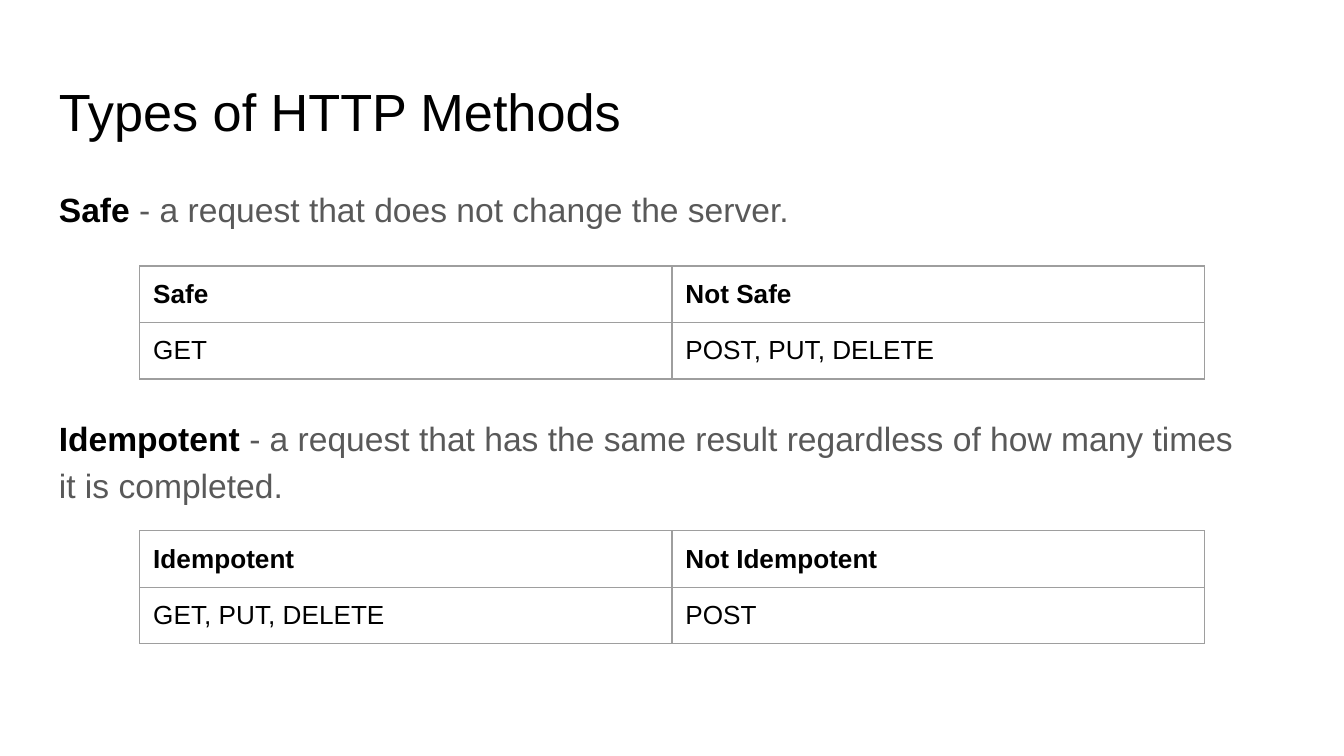
"""Build the slide on safe and idempotent HTTP methods."""
from lxml import etree
from pptx import Presentation
from pptx.dml.color import RGBColor
from pptx.enum.text import MSO_ANCHOR
from pptx.oxml.ns import qn
from pptx.util import Inches, Pt

TOP = MSO_ANCHOR.TOP
BLACK, GRAY, BORDER = "000000", "595959", "9E9E9E"
MARGIN = Inches(0.1)


def add_run(paragraph, text, size, color=BLACK, bold=False):
    run = paragraph.add_run()
    run.text = text
    run.font.name = "Arial"
    run.font.size = Pt(size)
    run.font.bold = bold
    run.font.color.rgb = RGBColor.from_string(color)


def add_text_frame(slide, left, top, width, height):
    shape = slide.shapes.add_textbox(Inches(left), Inches(top), Inches(width), Inches(height))
    frame = shape.text_frame
    frame.word_wrap = True
    frame.vertical_anchor = TOP
    frame.margin_left = frame.margin_right = MARGIN
    frame.margin_top = frame.margin_bottom = MARGIN
    return frame


presentation = Presentation()
presentation.slide_width = Inches(10)
presentation.slide_height = Inches(10 * 9 / 16)
slide = presentation.slides.add_slide(presentation.slide_layouts[6])

title = add_text_frame(slide, 0.34, 0.49, 9.32, 0.63)
add_run(title.paragraphs[0], "Types of HTTP Methods", 28)

body = add_text_frame(slide, 0.34, 1.26, 9.07, 4.11)
definitions = [
    ("Safe", " - a request that does not change the server.", 0),
    ("Idempotent ", "- a request that has the same result regardless of how many times it is completed.", 98),
]
for index, (term, meaning, space_before) in enumerate(definitions):
    paragraph = body.add_paragraph() if index else body.paragraphs[0]
    paragraph.line_spacing = 1.15
    paragraph.space_before = Pt(space_before)
    add_run(paragraph, term, 18, bold=True)
    add_run(paragraph, meaning, 18, GRAY)

method_tables = [
    (1.98, [("Safe", "Not Safe"), ("GET", "POST, PUT, DELETE")]),
    (3.95, [("Idempotent", "Not Idempotent"), ("GET, PUT, DELETE", "POST")]),
]
for top, rows in method_tables:
    shape = slide.shapes.add_table(2, 2, Inches(1.04), Inches(top), Inches(7.92), Inches(0.84))
    table = shape.table
    table.horz_banding = False
    for row_index, row in enumerate(rows):
        for column_index, text in enumerate(row):
            cell = table.cell(row_index, column_index)
            cell.margin_left = cell.margin_right = cell.margin_top = MARGIN
            cell.margin_bottom = Inches(0.08)
            add_run(cell.text_frame.paragraphs[0], text, 14, bold=row_index == 0)
            properties = cell._tc.get_or_add_tcPr()
            for side in ("a:lnL", "a:lnR", "a:lnT", "a:lnB"):
                line = etree.SubElement(properties, qn(side), w=str(Pt(0.75)))
                fill = etree.SubElement(line, qn("a:solidFill"))
                etree.SubElement(fill, qn("a:srgbClr"), val=BORDER)
            cell.fill.background()

presentation.save("out.pptx")
